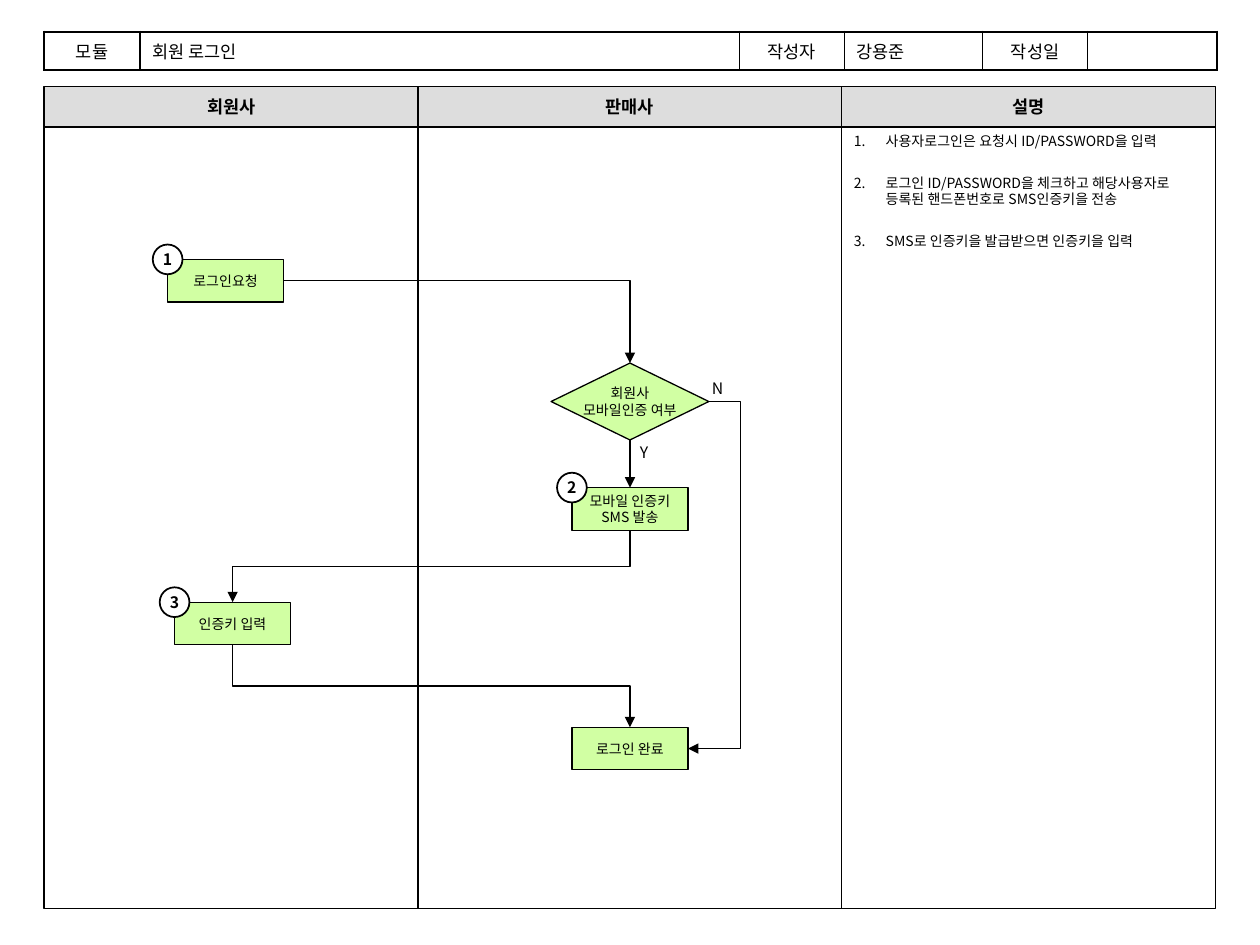
from dataclasses import dataclass

import pptx
import pptx.dml.color
import pptx.enum.shapes
import pptx.enum.text
import pptx.oxml.ns
import pptx.util
from lxml import etree

Cm, Pt = pptx.util.Cm, pptx.util.Pt
SHAPE = pptx.enum.shapes.MSO_SHAPE
ELBOW = pptx.enum.shapes.MSO_CONNECTOR.ELBOW
STRAIGHT = pptx.enum.shapes.MSO_CONNECTOR.STRAIGHT
CENTER, LEFT = pptx.enum.text.PP_ALIGN.CENTER, pptx.enum.text.PP_ALIGN.LEFT
TOP, MIDDLE = pptx.enum.text.MSO_ANCHOR.TOP, pptx.enum.text.MSO_ANCHOR.MIDDLE
NO_FIT = pptx.enum.text.MSO_AUTO_SIZE.NONE
qn = pptx.oxml.ns.qn

BLACK = pptx.dml.color.RGBColor(0x00, 0x00, 0x00)
WHITE = pptx.dml.color.RGBColor(0xFF, 0xFF, 0xFF)
GREY = pptx.dml.color.RGBColor(0xDD, 0xDD, 0xDD)
GREEN = pptx.dml.color.RGBColor(0xD1, 0xFF, 0xA3)
FONT = "Noto Sans CJK KR"

# Connection sites of rectangles and diamonds
SITE_TOP, SITE_BOTTOM, SITE_RIGHT = 0, 2, 3


@dataclass
class Box:
    """A region in centimetres."""
    left: float
    top: float
    width: float
    height: float

    def lengths(self):
        return [Cm(v) for v in (self.left, self.top, self.width, self.height)]


def style(para, size, align=CENTER, bold=False):
    para.alignment = align
    font = para.font
    font.size, font.bold, font.name = Pt(size), bold, FONT
    font.color.rgb = BLACK
    default = para._p.pPr.find(qn("a:defRPr"))
    etree.SubElement(default, qn("a:ea"), typeface=FONT)


def add_block(page, kind, box, text="", size=8, fill=None, bold=False, line=0.75):
    shape = page.shapes.add_shape(kind, *box.lengths())
    shape.shadow.inherit = False
    if fill is None:
        shape.fill.background()
    else:
        shape.fill.solid()
        shape.fill.fore_color.rgb = fill
    shape.line.color.rgb = BLACK
    shape.line.width = Pt(line)
    frame = shape.text_frame
    frame.margin_left = frame.margin_right = frame.margin_top = frame.margin_bottom = 0
    frame.vertical_anchor = MIDDLE
    frame.word_wrap = False
    if text:
        frame.text = text
        for para in frame.paragraphs:
            style(para, size, bold=bold)
            if len(frame.paragraphs) > 1:
                para.line_spacing = Pt(1.2 * size)
    return shape


# Header table
def add_header(page, box):
    cells = [("모듈", 1.93, CENTER), ("회원 로그인", 12.09, LEFT),
             ("작성자", 2.11, CENTER), ("강용준", 2.79, LEFT),
             ("작성일", 2.11, CENTER), ("", 2.62, LEFT)]
    table = page.shapes.add_table(1, len(cells), *box.lengths()).table
    table.first_row = table.horz_banding = False
    table.rows[0].height = Cm(box.height)
    for index, (text, width, align) in enumerate(cells):
        table.columns[index].width = Cm(width)
        cell = table.cell(0, index)
        cell.vertical_anchor = MIDDLE
        cell.text = text
        style(cell.text_frame.paragraphs[0], 10, align)
        widths = {"a:lnL": 1.5 if index == 0 else 1,
                  "a:lnR": 1.5 if index == len(cells) - 1 else 1,
                  "a:lnT": 1.5, "a:lnB": 1}
        properties = cell._tc.get_or_add_tcPr()
        for tag, points in widths.items():
            border = etree.SubElement(properties, qn(tag), w=str(Pt(points)))
            paint = etree.SubElement(border, qn("a:solidFill"))
            etree.SubElement(paint, qn("a:srgbClr"), val=str(BLACK))
        cell.fill.background()


# One lane: grey heading above an outlined area
def add_lane(page, box, heading, heading_height):
    add_block(page, SHAPE.RECTANGLE, Box(box.left, box.top, box.width, heading_height),
              heading, 10, GREY, bold=True)
    area = Box(box.left, box.top + heading_height, box.width, box.height - heading_height)
    add_block(page, SHAPE.RECTANGLE, area)
    return area


# Numbered description
def add_description(page, box):
    body = page.placeholders[1]
    body.left, body.top, body.width, body.height = box.lengths()
    frame = body.text_frame
    frame.auto_size = NO_FIT
    frame.vertical_anchor = TOP
    frame.text = "\n".join([
        "사용자로그인은 요청시 ID/PASSWORD을 입력",
        "로그인 ID/PASSWORD을 체크하고 해당사용자로 등록된 핸드폰번호로 SMS인증키을 전송",
        "SMS로 인증키을 발급받으면 인증키을 입력"])
    for para in frame.paragraphs:
        style(para, 8, LEFT)
        para.line_spacing, para.space_before, para.space_after = Pt(9.2), Pt(0), Pt(14.8)
        properties = para._p.pPr
        properties.set("marL", str(Cm(0.64)))
        properties.set("indent", str(-Cm(0.64)))
        bullet = etree.Element(qn("a:buAutoNum"), type="arabicPeriod")
        properties.find(qn("a:defRPr")).addprevious(bullet)


def add_arrow(page, kind, start, start_site, end, end_site):
    arrow = page.shapes.add_connector(kind, 0, 0, 0, 0)
    arrow.begin_connect(start, start_site)
    arrow.end_connect(end, end_site)
    arrow.line.color.rgb = BLACK
    arrow.line.width = Pt(0.75)
    etree.SubElement(arrow.line._get_or_add_ln(), qn("a:tailEnd"), type="triangle")
    etree.SubElement(arrow._element.spPr, qn("a:effectLst"))
    return arrow


def add_drop(page, start, end):
    """Elbow that leaves the bottom of one step and enters the top of another."""
    arrow = add_arrow(page, ELBOW, start, SITE_BOTTOM, end, SITE_TOP)
    across, down = arrow.end_x - arrow.begin_x, arrow.end_y - arrow.begin_y
    middle_x, middle_y = (arrow.begin_x + arrow.end_x) // 2, (arrow.begin_y + arrow.end_y) // 2
    arrow.width, arrow.height = down, abs(across)
    arrow.left, arrow.top = middle_x - down // 2, middle_y - abs(across) // 2
    frame = arrow._element.spPr.find(qn("a:xfrm"))
    frame.set("rot", "16200000" if across > 0 else "5400000")
    frame.set("flipH", "1" if across > 0 else "0")


# Login flow across the two lanes
def add_flow(page, box):
    step_width, step_height, badge = 2.34, 0.86, 0.6
    seller = 11.81

    def add_step(center, top, text, width=step_width, height=step_height,
                 kind=SHAPE.RECTANGLE):
        place = Box(box.left + center - width / 2, box.top + top, width, height)
        return add_block(page, kind, place, text, fill=GREEN)

    login = add_step(3.66, 2.67, "로그인요청")
    decision = add_step(seller, 4.76, "회원사\n모바일인증 여부", 3.18, 1.55, SHAPE.DIAMOND)
    message = add_step(seller, 7.27, "모바일 인증키\nSMS 발송")
    key = add_step(3.8, 9.58, "인증키 입력")
    done = add_step(seller, 12.1, "로그인 완료")

    # Arrows
    request = add_arrow(page, ELBOW, login, SITE_RIGHT, decision, SITE_TOP)
    request._element.spPr.find(qn("a:prstGeom")).set("prst", "bentConnector2")
    add_arrow(page, STRAIGHT, decision, SITE_BOTTOM, message, SITE_TOP)
    add_drop(page, message, key)
    add_drop(page, key, done)
    skip = add_arrow(page, ELBOW, decision, SITE_RIGHT, done, SITE_RIGHT)
    guides = skip._element.spPr.find(qn("a:prstGeom")).get_or_add_avLst()
    bulge = -round(100000 * Cm(0.64) / skip.width)
    etree.SubElement(guides, qn("a:gd"), name="adj1", fmla=f"val {bulge}")

    # Number badges on the top left corners
    for number, step in enumerate((login, message, key), 1):
        place = Box(step.left.cm - badge / 2, step.top.cm - badge / 2, badge, badge)
        add_block(page, SHAPE.OVAL, place, str(number), 9, WHITE, bold=True, line=1)

    # Branch labels
    for text, left, top in (("Y", 11.76, 6.25), ("N", 13.21, 4.96)):
        label = page.shapes.add_textbox(
            *Box(box.left + left, box.top + top, 0.79, 0.64).lengths())
        label.text_frame.word_wrap = True
        label.text_frame.text = text
        style(label.text_frame.paragraphs[0], 9, LEFT)


def main():
    deck = pptx.Presentation()
    deck.slide_width, deck.slide_height = Cm(25.4), Cm(19.05)
    page = deck.slides.add_slide(deck.slide_layouts[1])
    title = page.shapes.title._element
    title.getparent().remove(title)

    add_header(page, Box(0.89, 0.64, 23.65, 0.77))
    left, areas = 0.89, []
    for heading, width in (("회원사", 7.54), ("판매사", 8.53), ("설명", 7.55)):
        areas.append(add_lane(page, Box(left, 1.75, width, 16.56), heading, 0.81))
        left += width
    add_flow(page, areas[0])
    add_description(page, areas[-1])
    deck.save("out.pptx")


if __name__ == "__main__":
    main()
